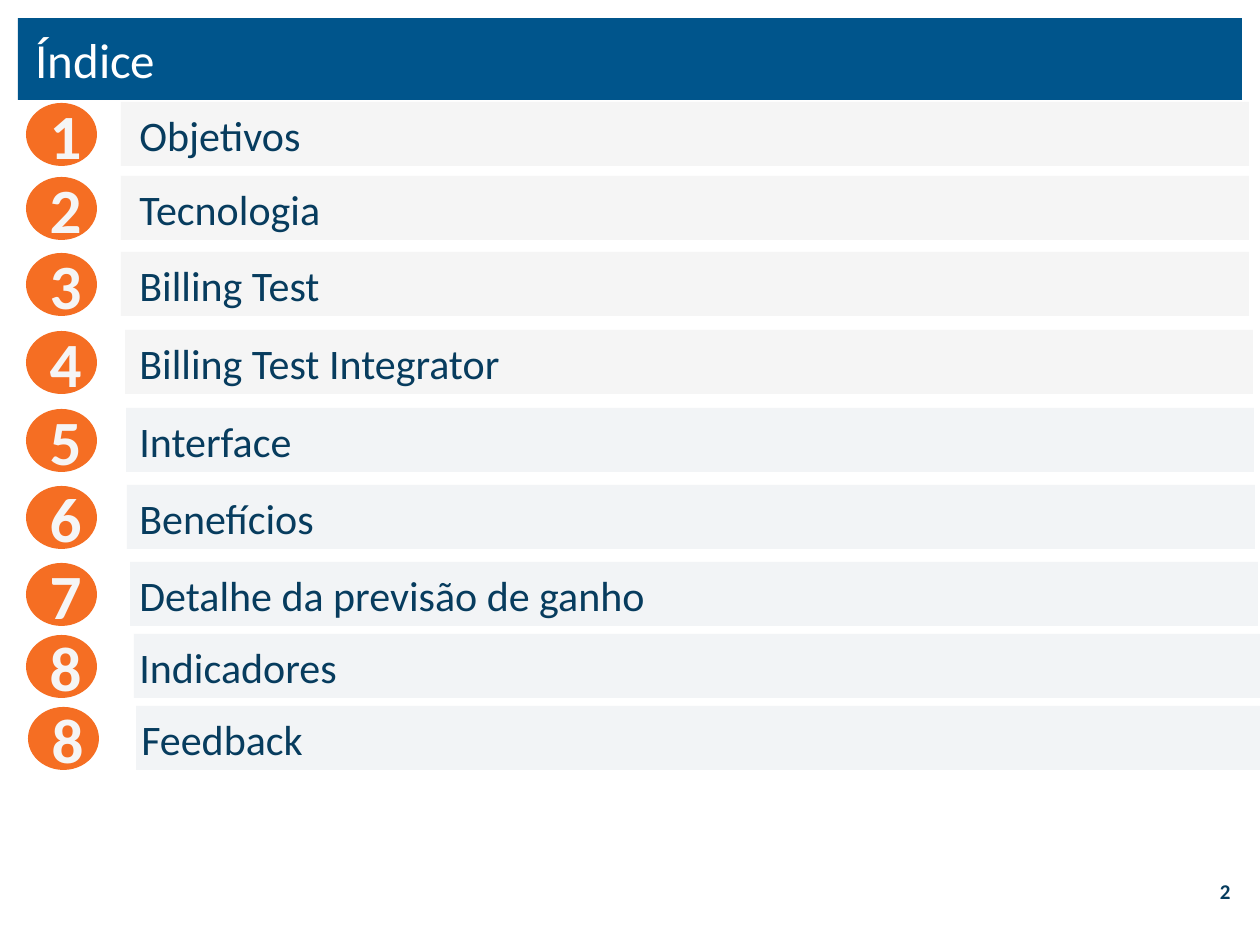
from dataclasses import dataclass

from pptx import Presentation
from pptx.dml.color import RGBColor
from pptx.enum.shapes import MSO_SHAPE as Shape
from pptx.enum.text import MSO_ANCHOR as Anchor, MSO_AUTO_SIZE as AutoSize, PP_ALIGN as Align
from pptx.util import Emu, Pt

PX = 914400 / 126


def px(*lengths):
    return [Emu(round(length * PX)) for length in lengths]


def apply(target, formats):
    for name, value in formats.items():
        setattr(target, name, value)


@dataclass(frozen=True)
class Theme:
    font: str = "Calibri"
    header: str = "00558C"
    white: str = "FFFFFF"
    ink: str = "073C5E"
    badge: str = "F56E23"
    pale: str = "F5F5F5"
    mist: str = "F2F4F6"
    title_size: int = 28
    number_size: int = 36
    topic_size: int = 24
    page_size: int = 12


class AgendaSlide:
    """Draws the elements of an agenda on one slide in one theme."""

    def __init__(self, slide, theme):
        self.slide = slide
        self.theme = theme

    def block(self, kind, box, color):
        block = self.slide.shapes.add_shape(kind, *px(*box))
        block.shadow.inherit = False
        block.fill.solid()
        block.fill.fore_color.rgb = RGBColor.from_string(color)
        block.line.fill.background()

    def text(self, words, box, size, color, bold=False, align=Align.LEFT, after=30,
             anchor=Anchor.TOP, fit=AutoSize.SHAPE_TO_FIT_TEXT):
        frame = self.slide.shapes.add_textbox(*px(*box)).text_frame
        apply(frame, {"word_wrap": True, "auto_size": fit, "vertical_anchor": anchor})
        paragraph = frame.paragraphs[0]
        apply(paragraph, {"alignment": align, "line_spacing": 0.85, "space_after": Pt(after)})
        run = paragraph.add_run()
        run.text = words
        apply(run.font, {"name": self.theme.font, "size": Pt(size), "bold": bold})
        run.font.color.rgb = RGBColor.from_string(color)

    def header(self, title):
        theme = self.theme
        self.block(Shape.RECTANGLE, (18, 18, 1224, 82), theme.header)
        self.text(title, (23, 32, 1217, 63), theme.title_size, theme.white, after=7)

    def page_number(self, number):
        theme = self.theme
        self.text(number, (1128, 868, 115, 50), theme.page_size, theme.ink, bold=True,
                  align=Align.RIGHT, after=7, anchor=Anchor.MIDDLE, fit=AutoSize.NONE)

    def topic(self, number, title, top, bar_left, bar_color, shift):
        theme = self.theme
        self.block(Shape.RECTANGLE, (bar_left, top, 1128, 64), bar_color)
        self.block(Shape.OVAL, (26 + shift, top + 1, 71, 63), theme.badge)
        self.text(number, (26 + shift, top, 79, 78), theme.number_size, theme.pale,
                  bold=True, align=Align.CENTER)
        self.text(title, (127 + shift, top + 9, 805, 57), theme.topic_size, theme.ink)


def main():
    theme = Theme()
    deck = Presentation()
    deck.slide_width, deck.slide_height = px(1260, 945)
    agenda = AgendaSlide(deck.slides.add_slide(deck.slide_layouts[6]), theme)
    agenda.header("Índice")
    agenda.page_number("2")
    topics = [
        ("1", "Objetivos", 102, 121, theme.pale, 0),
        ("2", "Tecnologia", 176, 121, theme.pale, 0),
        ("3", "Billing Test", 252, 121, theme.pale, 0),
        ("4", "Billing Test Integrator", 330, 125, theme.pale, 0),
        ("5", "Interface", 408, 126, theme.mist, 0),
        ("6", "Benefícios", 485, 127, theme.mist, 0),
        ("7", "Detalhe da previsão de ganho", 562, 130, theme.mist, 0),
        ("8", "Indicadores", 634, 134, theme.mist, 0),
        ("8", "Feedback", 706, 136, theme.mist, 2),
    ]
    for topic in topics:
        agenda.topic(*topic)
    deck.save("out.pptx")


if __name__ == "__main__":
    main()
